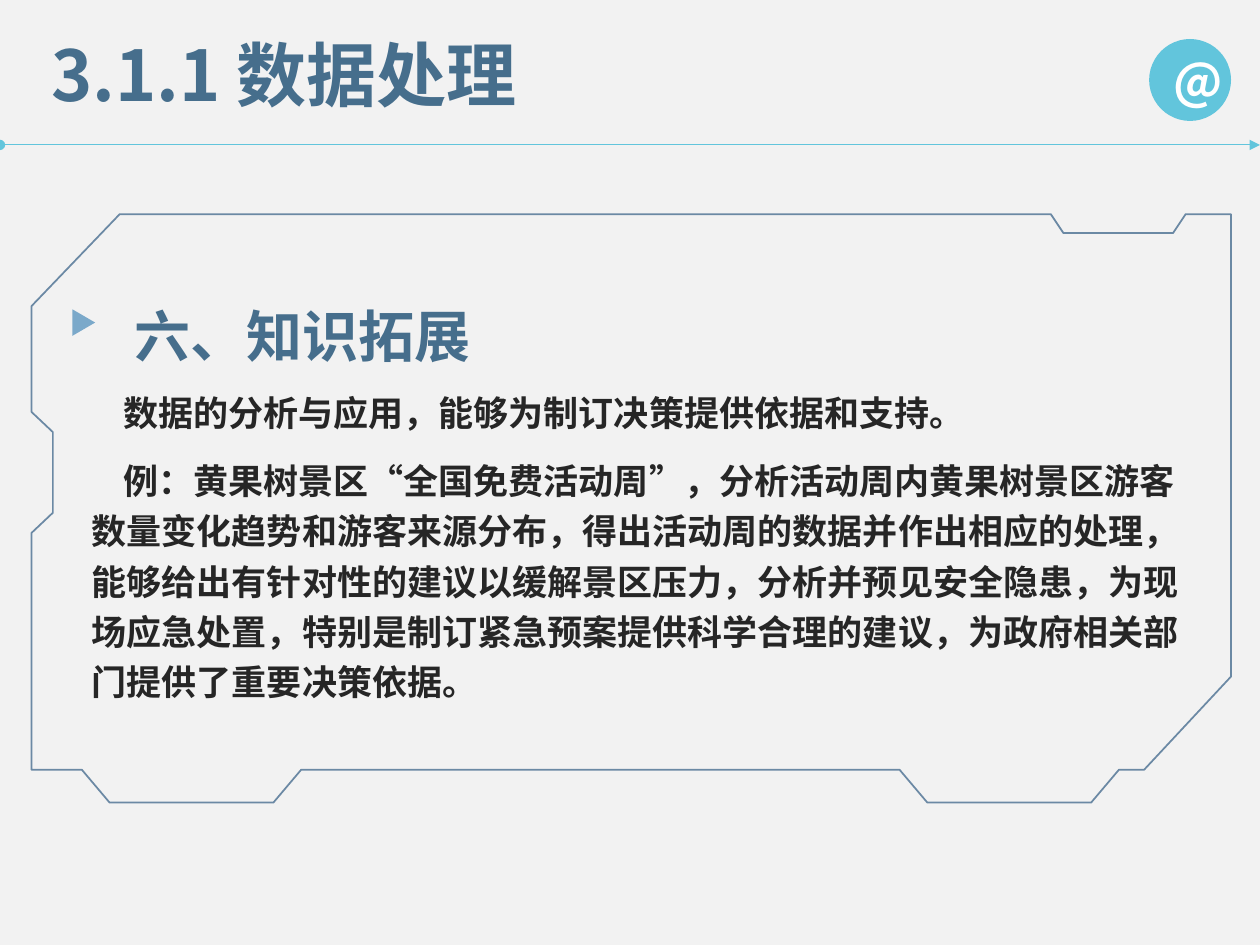
"""Build the slide on data processing: title bar, outlined panel and body text."""
from pptx import Presentation
from pptx.dml.color import RGBColor
from pptx.enum.shapes import MSO_CONNECTOR as Connector, MSO_SHAPE as Shape
from pptx.enum.text import MSO_ANCHOR as Anchor, MSO_AUTO_SIZE as AutoSize, PP_ALIGN as Align
from pptx.oxml.ns import qn
from pptx.util import Inches, Pt
from lxml.etree import SubElement

FONT = "Noto Sans CJK SC"
PAPER = RGBColor(0xF2, 0xF2, 0xF2)
CYAN = RGBColor(0x62, 0xC5, 0xDC)
STEEL = RGBColor(0x46, 0x6E, 0x8C)
SKY = RGBColor(0x7B, 0xA9, 0xCA)
NAVY = RGBColor(0x1F, 0x4E, 0x79)
INK = RGBColor(0x26, 0x26, 0x26)
WHITE = RGBColor(0xFF, 0xFF, 0xFF)

deck = Presentation()
deck.slide_width, deck.slide_height = Inches(10), Inches(7.5)
COLUMN, ROW = deck.slide_width // 100, deck.slide_height // 75
page = deck.slides.add_slide(deck.slide_layouts[6])
page.background.fill.solid()
page.background.fill.fore_color.rgb = PAPER


def cells(left, top, width, height):
    return [round(n * unit) for n, unit in zip((left, top, width, height), (COLUMN, ROW) * 2)]


def write(para, text, *, size, color, align=Align.LEFT, spacing=None, after=None, indent=None):
    para.alignment, para.line_spacing, para.space_after = align, spacing, after
    if indent:
        para._p.get_or_add_pPr().set("indent", str(indent))
    span = para.add_run()
    span.text = text
    span.font.name, span.font.size, span.font.bold = FONT, Pt(size), True
    span.font.color.rgb = color
    SubElement(span.font._element, qn("a:ea"), typeface=FONT)


rule = page.shapes.add_connector(Connector.STRAIGHT, 0, round(11.5 * ROW), deck.slide_width, round(11.5 * ROW))
rule.line.color.rgb, rule.line.width = CYAN, Pt(0.5)
SubElement(rule.line._get_or_add_ln(), qn("a:headEnd"), type="oval")
SubElement(rule.line._get_or_add_ln(), qn("a:tailEnd"), type="triangle")
SubElement(rule._element.spPr, qn("a:effectLst"))

badge = page.shapes.add_shape(Shape.OVAL, *cells(91.2, 3.1, 6.5, 6.5))
marker = page.shapes.add_shape(Shape.ISOSCELES_TRIANGLE, *cells(5.6, 24.7, 2.1, 1.8))
marker.rotation = 90
for shape, color in ((badge, CYAN), (marker, SKY)):
    shape.shadow.inherit = False
    shape.fill.solid()
    shape.fill.fore_color.rgb = color
    shape.line.fill.background()
badge.text_frame.vertical_anchor = Anchor.MIDDLE
write(badge.text_frame.paragraphs[0], "@", size=28, color=WHITE, align=Align.CENTER)

top_edge = [(9.5, 17), (83.4, 17), (84.4, 18.5), (93.1, 18.5), (94.1, 17), (97.7, 17)]
right_edge = [(97.7, 53.7), (90.8, 61.1)]
bottom_edge = [(start + across, 61.1 + down) for start in (71.4, 6.5)
               for across, down in ((17.4, 0), (15.2, 2.6), (2.2, 2.6), (0, 0))]
left_edge = [(2.5, 61.1), (2.5, 42.3), (4.2, 40.7), (4.2, 34.3), (2.5, 32.7), (2.5, 24.3)]
corners = [(x * COLUMN, y * ROW) for x, y in top_edge + right_edge + bottom_edge + left_edge]
outline = page.shapes.build_freeform(*corners[0])
outline.add_line_segments(corners[1:], close=True)
panel = outline.convert_to_shape()
panel.shadow.inherit = False
panel.fill.background()
panel.line.color.rgb, panel.line.width = NAVY, Pt(1)
SubElement(panel.line._get_or_add_ln().find(".//" + qn("a:srgbClr")), qn("a:alpha"), val="64000")

title = {"size": 40, "color": STEEL}
heading = {"size": 32, "color": STEEL, "spacing": 1.5}
body = {"size": 20, "color": INK, "spacing": 1.2, "after": Pt(10), "indent": Pt(18)}
blocks = [
    ((3.1, 2, 69, 7.7), title, ["3.1.1 数据处理"]),
    ((9.7, 20.8, 62.2, 8.1), heading, ["六、知识拓展"]),
    ((6.3, 29.9, 88.6, 26.6), body, [
        "数据的分析与应用，能够为制订决策提供依据和支持。",
        "例：黄果树景区“全国免费活动周”，分析活动周内黄果树景区游客数量变化趋势和游客来源分布，"
        "得出活动周的数据并作出相应的处理，能够给出有针对性的建议以缓解景区压力，"
        "分析并预见安全隐患，为现场应急处置，特别是制订紧急预案提供科学合理的建议，"
        "为政府相关部门提供了重要决策依据。",
    ]),
]
for area, style, texts in blocks:
    frame = page.shapes.add_textbox(*cells(*area)).text_frame
    frame.word_wrap, frame.auto_size = True, AutoSize.SHAPE_TO_FIT_TEXT
    for number, text in enumerate(texts):
        para = frame.add_paragraph() if number else frame.paragraphs[0]
        write(para, text, **style)

deck.save("out.pptx")
